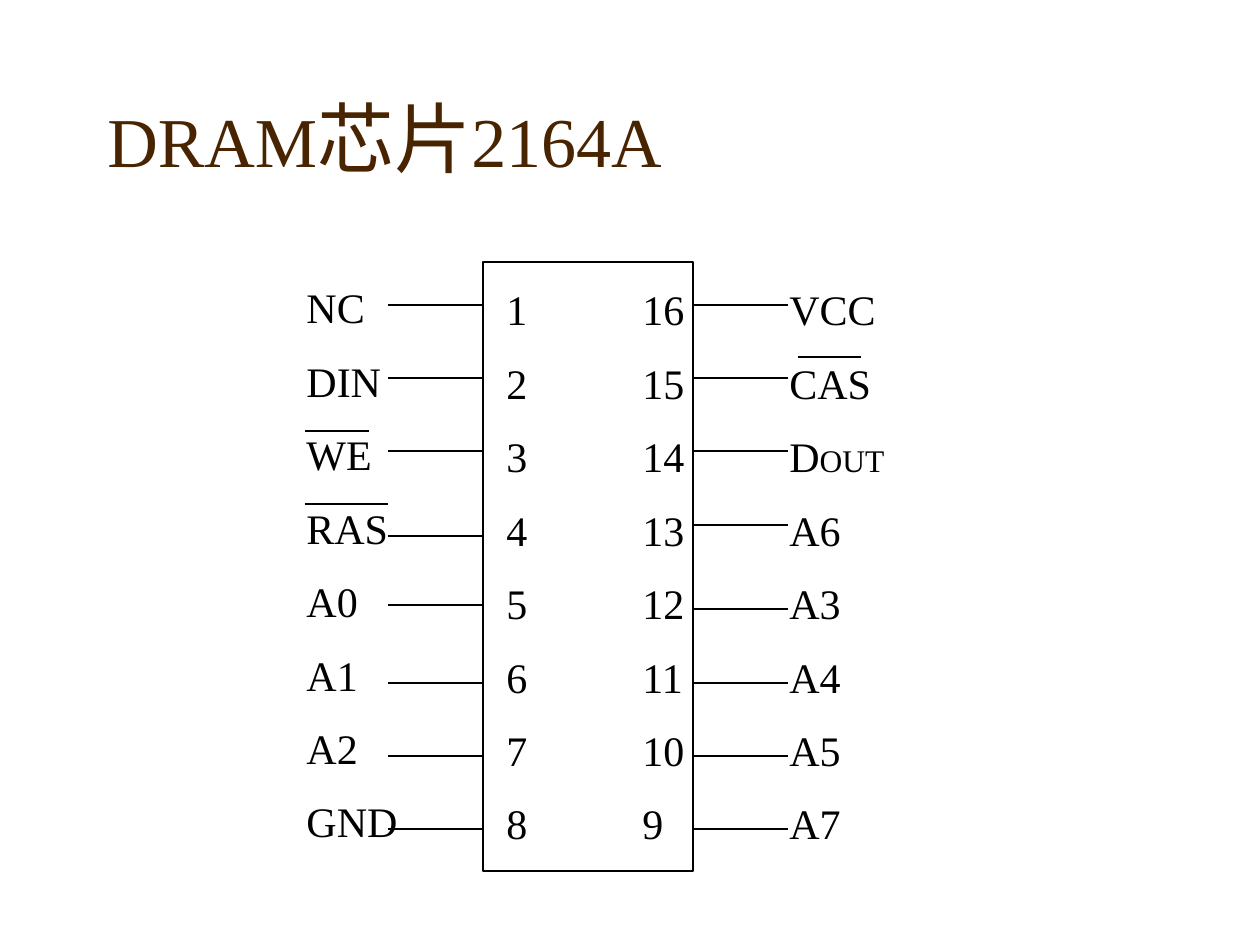
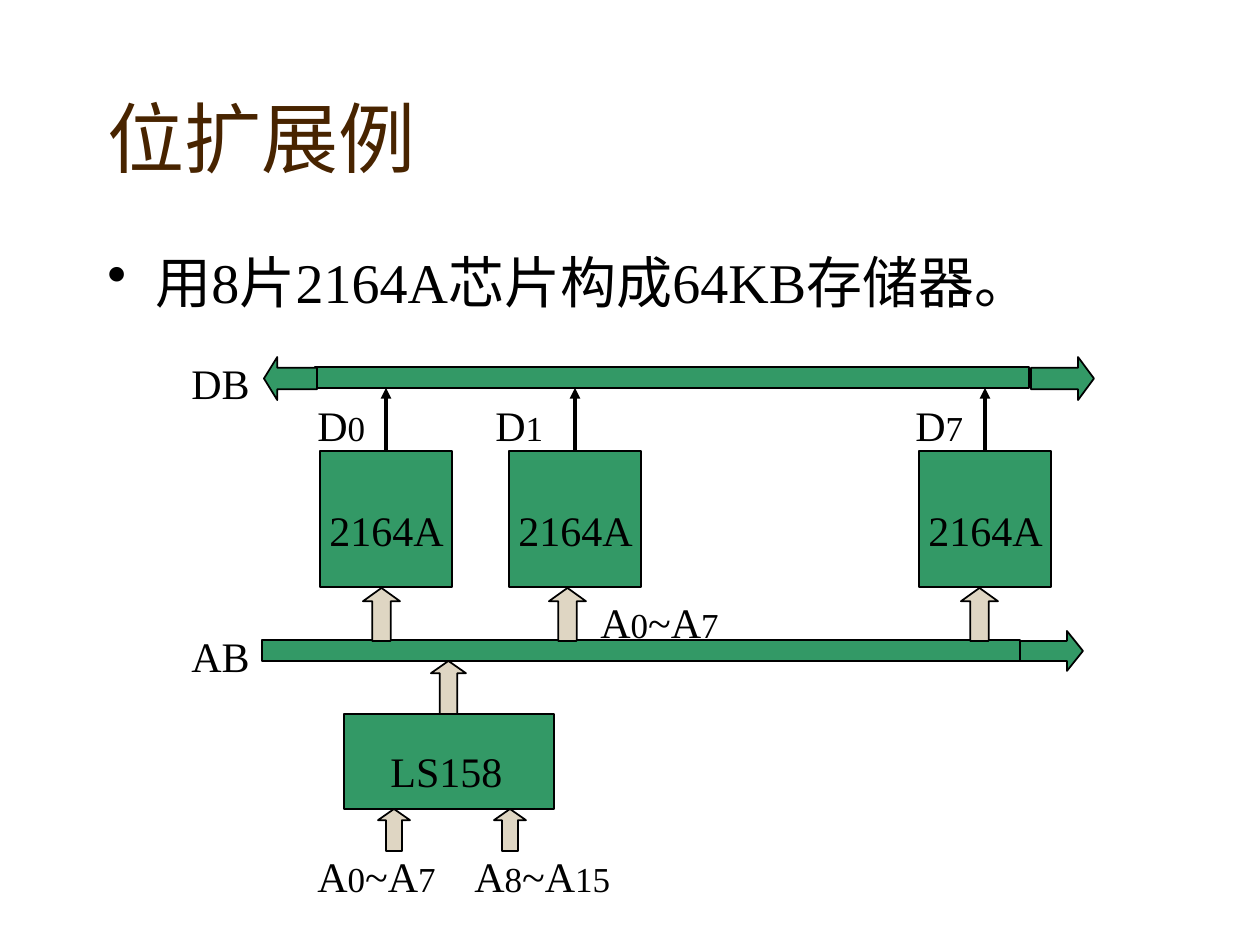
"""Build two slides on the 2164A DRAM chip: its pinout and a bit-expansion example."""
import pptx
import pptx.util
import pptx.dml.color
import pptx.enum.shapes
import pptx.enum.text
import pptx.oxml.ns
import lxml.etree

SHAPE = pptx.enum.shapes.MSO_SHAPE
ANCHOR = pptx.enum.text.MSO_ANCHOR
FONT = "Times New Roman"
INK, BROWN, GREEN, SAND = "000000", "482400", "339966", "DFD6C3"
TITLE_BOX = (95, 32, 1071, 157)
LABEL_SIZE, LABEL_GAP, LABEL_H = 24, 23, 63

PINOUT_TITLE = [("DRAM", 40), ("芯片", 44), ("2164A", 40)]
PACKAGE = (483, 262, 210, 609)
PIN_COLUMNS = [
    ((494, 273, 84, 591), [str(n) for n in range(1, 9)]),
    ((630, 273, 84, 591), [str(n) for n in range(16, 8, -1)]),
    ((294, 271, 158, 591), ["NC", "DIN", "WE", "RAS", "A0", "A1", "A2", "GND"]),
    ((777, 273, 158, 591), ["VCC", "CAS", ("D", "OUT"), "A6", "A3", "A4", "A5", "A7"]),
]
WIRES = [
    (483, 388, [305, 378, 451, 536, 605, 683, 756, 829]),
    (788, 693, [305, 378, 451, 525, 609, 683, 756, 829]),
]
ACTIVE_LOW_BARS = [(305, 369, 431), (305, 388, 504), (798, 861, 357)]

EXAMPLE_TITLE = [("位扩展例", 44)]
EXAMPLE_BOX = (95, 242, 1071, 567)
EXAMPLE_TEXT = [("用8片2164A芯片构成64KB存储器。", 32)]
CHIP_TOP, CHIP_W, CHIP_H = 451, 132, 136
DATA_BUS_BOTTOM = 388
CHIPS = [(320, "0", 305, 363), (509, "1", 483, 549), (919, "7", 903, 961)]
BUS_PARTS = [
    (SHAPE.RECTANGLE, (315, 367, 714, 21), None),
    (SHAPE.RIGHT_ARROW, (1031, 357, 63, 43), 0.37),
    (SHAPE.LEFT_ARROW, (264, 357, 53, 43), 0.31),
    (SHAPE.RECTANGLE, (262, 640, 758, 21), None),
    (SHAPE.RIGHT_ARROW, (1020, 631, 63, 40), 0.4),
    (SHAPE.RECTANGLE, (344, 714, 210, 95), None),
]
ADDRESS_INPUTS = [(378, 809, 32, 42), (494, 809, 32, 42), (431, 661, 35, 53)]
DIAGRAM_LABELS = [
    ((378, 735, 168), "LS158"),
    ((305, 840, 158), ("A", "0", "~A", "7")),
    ((462, 840, 189), ("A", "8", "~A", "15")),
    ((179, 347, 105), "DB"),
    ((179, 620, 105), "AB"),
    ((588, 586, 158), ("A", "0", "~A", "7")),
]


def px(length):
    return pptx.util.Emu(round(length * 914400 / 126))


def color(hex_code):
    return pptx.dml.color.RGBColor.from_string(hex_code)


def add_bullet(paragraph, indent):
    props = paragraph._p.get_or_add_pPr()
    props.set("marL", str(px(indent)))
    props.set("indent", str(-px(indent)))
    bullet = lxml.etree.SubElement(props, pptx.oxml.ns.qn("a:buChar"))
    bullet.set("char", "•")


def add_text(slide, box, paragraphs, ink=INK, top_inset=6, gap=0,
             anchor=ANCHOR.TOP, bullet=False):
    frame = slide.shapes.add_textbox(*map(px, box)).text_frame
    frame.word_wrap = True
    frame.vertical_anchor = anchor
    frame.margin_top = px(top_inset)
    for index, runs in enumerate(paragraphs):
        paragraph = frame.add_paragraph() if index else frame.paragraphs[0]
        if index:
            paragraph.space_before = px(gap)
        if bullet:
            add_bullet(paragraph, 48)
        for text, size in runs:
            run = paragraph.add_run()
            run.text = text
            run.font.name = FONT
            run.font.size = pptx.util.Pt(size)
            run.font.color.rgb = color(ink)


def add_labels(slide, box, labels, small=20):
    paragraphs = []
    for label in labels:
        parts = (label,) if isinstance(label, str) else label
        paragraphs.append([(part, small if i % 2 else LABEL_SIZE)
                           for i, part in enumerate(parts)])
    add_text(slide, box, paragraphs, top_inset=11, gap=LABEL_GAP)


def add_block(slide, kind, box, fill=None, head=None):
    block = slide.shapes.add_shape(kind, *map(px, box))
    block.shadow.inherit = False
    if fill:
        block.fill.solid()
        block.fill.fore_color.rgb = color(fill)
    else:
        block.fill.background()
    block.line.color.rgb = color(INK)
    block.line.width = pptx.util.Pt(1)
    if head:
        block.adjustments[0] = 0.5
        block.adjustments[1] = head
    return block


def add_line(slide, start, end, width=1, arrow=False):
    line = slide.shapes.add_connector(
        pptx.enum.shapes.MSO_CONNECTOR.STRAIGHT, *map(px, start + end))
    line.line.color.rgb = color(INK)
    line.line.width = pptx.util.Pt(width)
    if arrow:
        tip = lxml.etree.SubElement(line.line._get_or_add_ln(), pptx.oxml.ns.qn("a:tailEnd"))
        tip.set("type", "triangle")
    lxml.etree.SubElement(line._element.spPr, pptx.oxml.ns.qn("a:effectLst"))
    return line


def add_titled_slide(deck, title):
    slide = deck.slides.add_slide(deck.slide_layouts[6])
    add_text(slide, TITLE_BOX, [title], ink=BROWN, anchor=ANCHOR.BOTTOM)
    return slide


def build_pinout(deck):
    slide = add_titled_slide(deck, PINOUT_TITLE)
    add_block(slide, SHAPE.RECTANGLE, PACKAGE)
    for start, end, heights in WIRES:
        for y in heights:
            add_line(slide, (start, y), (end, y))
    for box, labels in PIN_COLUMNS:
        add_labels(slide, box, labels, small=18)
    for start, end, y in ACTIVE_LOW_BARS:
        add_line(slide, (start, y), (end, y))


def build_example(deck):
    slide = add_titled_slide(deck, EXAMPLE_TITLE)
    add_text(slide, EXAMPLE_BOX, [EXAMPLE_TEXT], bullet=True)
    for kind, box, head in BUS_PARTS:
        add_block(slide, kind, box, GREEN, head)
    for box in ADDRESS_INPUTS:
        add_block(slide, SHAPE.UP_ARROW, box, SAND, 0.35)
    for left, bit, bit_left, address_left in CHIPS:
        chip = add_block(slide, SHAPE.RECTANGLE, (left, CHIP_TOP, CHIP_W, CHIP_H), GREEN)
        middle = left + CHIP_W // 2
        data_line = add_line(slide, (middle, CHIP_TOP), (middle, DATA_BUS_BOTTOM), 2, True)
        data_line.begin_connect(chip, 0)
        add_block(slide, SHAPE.UP_ARROW, (address_left, 588, 37, 53), SAND, 0.36)
        add_labels(slide, (left - 3, 494, 158, LABEL_H), ["2164A"])
        add_labels(slide, (bit_left, 388, 74, LABEL_H), [("D", bit)])
    for place, label in DIAGRAM_LABELS:
        add_labels(slide, place + (LABEL_H,), [label])


def main():
    deck = pptx.Presentation()
    deck.slide_width, deck.slide_height = px(1260), px(945)
    build_pinout(deck)
    build_example(deck)
    deck.save("out.pptx")


if __name__ == "__main__":
    main()
